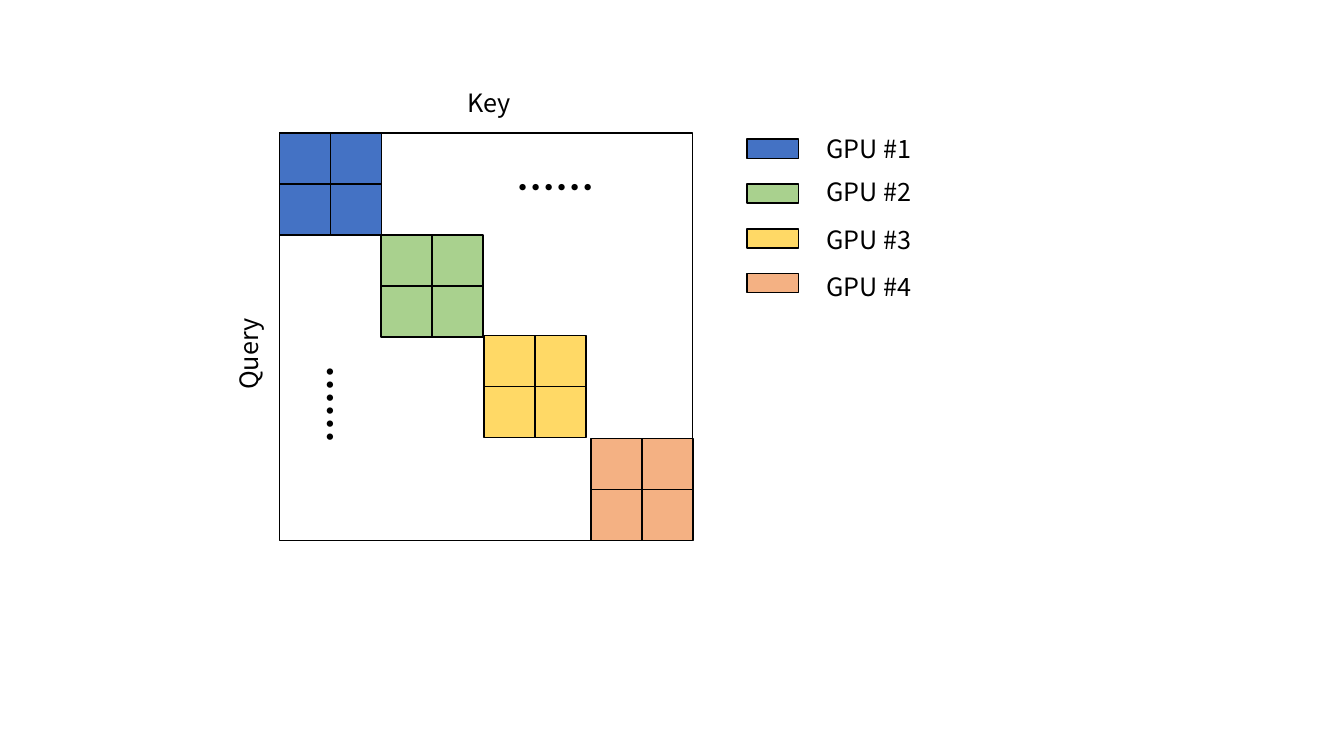
from lxml import etree
from pptx import Presentation
from pptx import util as u
from pptx.dml.color import RGBColor
from pptx.enum import shapes, text
from pptx.oxml.ns import qn

COLORS = {
    "GPU #1": "4472C4",
    "GPU #2": "A9D18E",
    "GPU #3": "FFD966",
    "GPU #4": "F4B183",
    "ink": "000000",
}
FONT = "Noto Sans CJK SC"
LABEL = {"name": FONT, "size": u.Pt(18), "bold": False}
DOTS = {"name": FONT, "size": u.Pt(28), "bold": True}
CELL = 0.506


def add_rect(page, box, fill=None):
    """Draw a black-edged rectangle, filled when a colour is given."""
    rect = page.shapes.add_shape(shapes.MSO_SHAPE.RECTANGLE, *map(u.Inches, box))
    rect.shadow.inherit = False
    if fill:
        rect.fill.solid()
        rect.fill.fore_color.rgb = RGBColor.from_string(fill)
    else:
        rect.fill.background()
    rect.line.color.rgb = RGBColor.from_string(COLORS["ink"])
    rect.line.width = u.Pt(1)


def add_text(page, box, words, style, rotation=0):
    """Place one line of left-aligned text in the given box."""
    label = page.shapes.add_textbox(*map(u.Inches, box))
    label.rotation = rotation
    frame = label.text_frame
    frame.word_wrap = True
    frame.auto_size = text.MSO_AUTO_SIZE.SHAPE_TO_FIT_TEXT
    span = frame.paragraphs[0].add_run()
    span.text = words
    for name, value in style.items():
        setattr(span.font, name, value)
    span.font.color.rgb = RGBColor.from_string(COLORS["ink"])
    etree.SubElement(span.font._element, qn("a:ea"), typeface=FONT)


def add_block(page, left, top, fill):
    """Draw a two by two block of attention cells."""
    for row in range(2):
        for column in range(2):
            cell = (left + column * CELL, top + row * CELL, CELL, CELL)
            add_rect(page, cell, fill)


def add_matrix(page, box):
    """Draw the attention matrix with its diagonal blocks and axis names."""
    left, top, width, height = box
    blocks = [(0, 0), (1.01, 1.01), (2.03, 2.01), (3.09, 3.03)]
    for number, (across, down) in enumerate(blocks, 1):
        add_block(page, left + across, top + down, COLORS[f"GPU #{number}"])
    add_rect(page, box)
    add_text(page, (left - 0.87, top + 1.88, 1.13, 0.4), "Query", LABEL, 270)
    add_text(page, (left + 1.77, top - 0.5, 1.25, 0.4), "Key", LABEL)
    add_text(page, (left + 2.25, top + 0.25, 1.08, 0.57), "……", DOTS)
    add_text(page, (left - 0.03, top + 2.46, 1.08, 0.57), "……", DOTS, 90)


def add_legend(page, left, top):
    """List each GPU with its colour swatch."""
    label_tops = [0, 0.43, 0.91, 1.37]
    for index, label_top in enumerate(label_tops):
        name = f"GPU #{index + 1}"
        swatch = (left, top + 0.11 + index * 0.445, 0.51, 0.19)
        add_rect(page, swatch, COLORS[name])
        add_text(page, (left + 0.69, top + label_top, 1.49, 0.4), name, LABEL)


def main():
    """Build the slide and save the deck."""
    deck = Presentation()
    deck.slide_width, deck.slide_height = u.Inches(13.33), u.Inches(7.5)
    page = deck.slides.add_slide(deck.slide_layouts[6])
    add_matrix(page, (2.77, 1.32, 4.1, 4.04))
    add_legend(page, 7.41, 1.27)
    deck.save("out.pptx")


if __name__ == "__main__":
    main()
